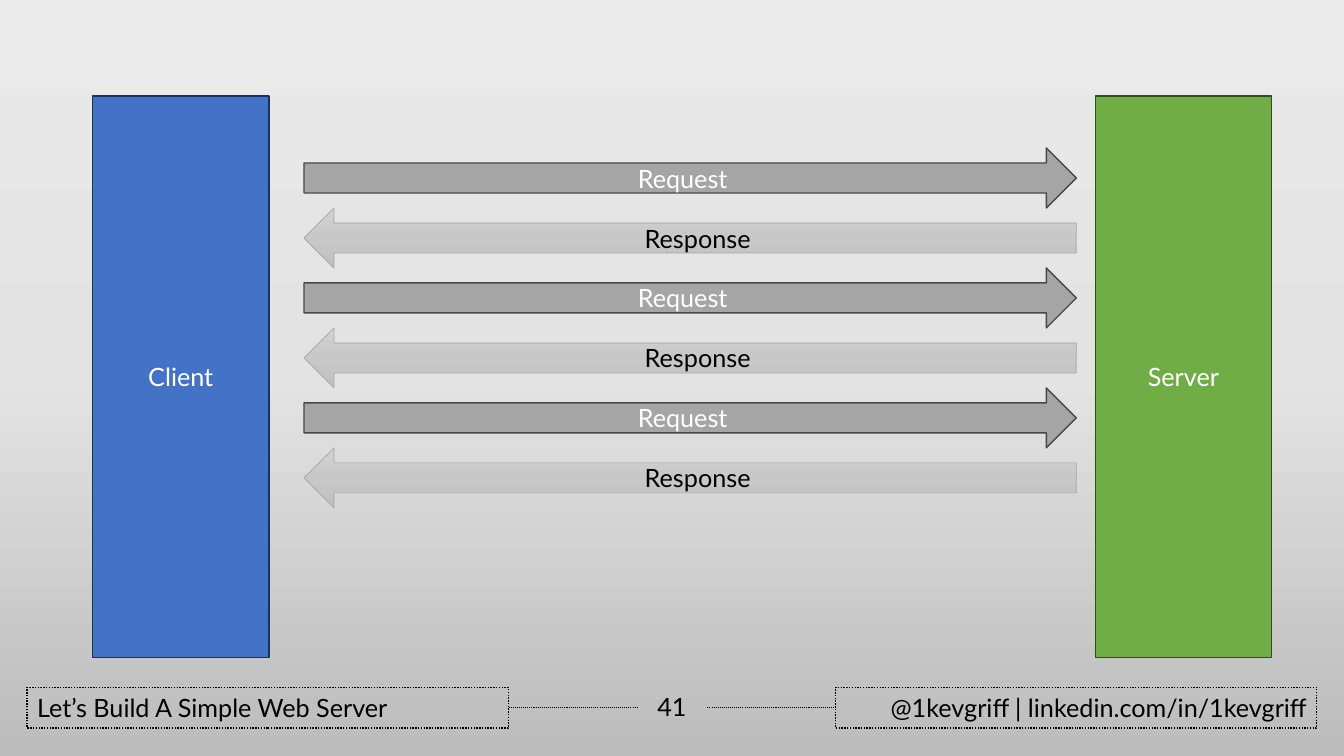
from copy import deepcopy
from pptx import Presentation
from pptx.dml.color import RGBColor
from pptx.enum.dml import MSO_LINE
from pptx.enum.shapes import MSO_CONNECTOR, MSO_SHAPE
from pptx.enum.text import MSO_ANCHOR, PP_ALIGN
from pptx.oxml.ns import qn
from pptx.oxml.xmlchemy import OxmlElement
from pptx.util import Pt

BLACK = RGBColor(0x00, 0x00, 0x00)
WHITE = RGBColor(0xFF, 0xFF, 0xFF)
BLUE = RGBColor(0x44, 0x72, 0xC4)
DARK_BLUE = RGBColor(0x1E, 0x32, 0x56)
GREEN = RGBColor(0x70, 0xAD, 0x47)
DARK_GREEN = RGBColor(0x31, 0x4C, 0x1F)
GRAY = RGBColor(0xA5, 0xA5, 0xA5)
DARK_GRAY = RGBColor(0x48, 0x48, 0x48)
BACKGROUND_COLORS = (RGBColor(0xEB, 0xEA, 0xEA), RGBColor(0xE4, 0xE3, 0xE3), RGBColor(0xBD, 0xBC, 0xBC))
RESPONSE_COLORS = (RGBColor(0xD2, 0xD2, 0xD2), RGBColor(0xC8, 0xC8, 0xC8), RGBColor(0xC0, 0xC0, 0xC0))


def apply_gradient(fill, element, colors):
    fill.gradient()
    fill.gradient_angle = 270
    stop_list = element.find(".//" + qn("a:gsLst"))
    stop_list.insert(1, deepcopy(stop_list[0]))
    for stop, color, position in zip(fill.gradient_stops, colors, (0, 0.5, 1)):
        stop.color.rgb = color
        stop.position = position


def add_labelled_shape(kind, left, top, width, height, text, text_color, line_color,
                       line_width=1, anchor=MSO_ANCHOR.MIDDLE, alignment=PP_ALIGN.CENTER):
    shape = slide.shapes.add_shape(kind, Pt(left), Pt(top), Pt(width), Pt(height))
    shape.shadow.inherit = False
    shape.fill.background()
    if line_color is None:
        shape.line.fill.background()
    else:
        shape.line.color.rgb = line_color
        shape.line.width = Pt(line_width)
    frame = shape.text_frame
    frame.word_wrap = True
    frame.vertical_anchor = anchor
    paragraph = frame.paragraphs[0]
    paragraph.alignment = alignment
    run = paragraph.add_run()
    run.text = text
    run.font.name = "Lato"
    run.font.size = Pt(18)
    run.font.color.rgb = text_color
    return shape


presentation = Presentation()
presentation.slide_width = Pt(960)
presentation.slide_height = Pt(540)
slide = presentation.slides.add_slide(presentation.slide_layouts[6])
apply_gradient(slide.background.fill, slide.element, BACKGROUND_COLORS)

for left, text, alignment in (
    (19.4, "Let’s Build A Simple Web Server", PP_ALIGN.LEFT),
    (596.9, "@1kevgriff | linkedin.com/in/1kevgriff", PP_ALIGN.RIGHT),
):
    footer = add_labelled_shape(MSO_SHAPE.RECTANGLE, left, 491, 343.7, 29, text, BLACK, BLACK,
                                anchor=MSO_ANCHOR.TOP, alignment=alignment)
    footer.line.dash_style = MSO_LINE.ROUND_DOT

for start, end in ((363.4, 455), (505.3, 596.9)):
    connector = slide.shapes.add_connector(MSO_CONNECTOR.STRAIGHT, Pt(start), Pt(505.5), Pt(end), Pt(505.5))
    connector.line.color.rgb = BLACK
    connector.line.width = Pt(0.75)
    connector.line.dash_style = MSO_LINE.ROUND_DOT
    connector.element.spPr.append(OxmlElement("a:effectLst"))

add_labelled_shape(MSO_SHAPE.RECTANGLE, 458, 490.5, 44, 29, "41", BLACK, None, anchor=MSO_ANCHOR.TOP)

for left, text, fill_color, line_color in (
    (66.1, "Client", BLUE, DARK_BLUE),
    (782.3, "Server", GREEN, DARK_GREEN),
):
    column = add_labelled_shape(MSO_SHAPE.RECTANGLE, left, 68.5, 126, 401, text, WHITE, line_color)
    column.fill.solid()
    column.fill.fore_color.rgb = fill_color

ARROW_LEFT, ARROW_TOP, ARROW_WIDTH, ARROW_HEIGHT = 217.1, 105.7, 551.7, 42.85
for row in range(6):
    area = (ARROW_LEFT, ARROW_TOP + row * ARROW_HEIGHT, ARROW_WIDTH, ARROW_HEIGHT)
    if row % 2 == 0:
        request = add_labelled_shape(MSO_SHAPE.RIGHT_ARROW, *area, "Request", WHITE, DARK_GRAY)
        request.fill.solid()
        request.fill.fore_color.rgb = GRAY
    else:
        response = add_labelled_shape(MSO_SHAPE.LEFT_ARROW, *area, "Response", BLACK, GRAY, line_width=0.5)
        apply_gradient(response.fill, response.element, RESPONSE_COLORS)

presentation.save("out.pptx")
